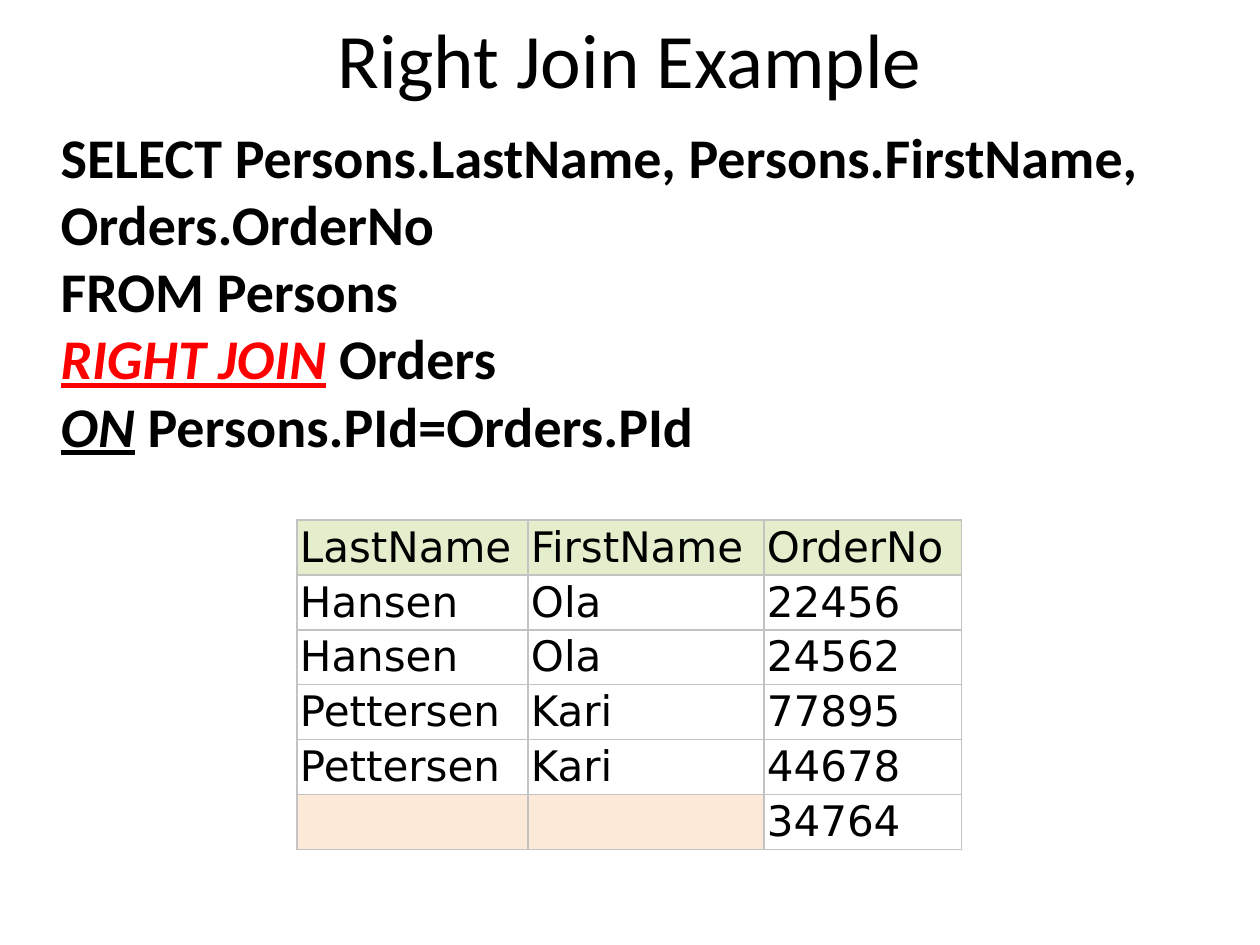
from lxml.etree import SubElement
from pptx import Presentation
from pptx.dml.color import RGBColor
from pptx.enum.text import MSO_ANCHOR as Anchor, MSO_AUTO_SIZE as AutoSize, PP_ALIGN as Align
from pptx.oxml.ns import qn
from pptx.util import Emu, Pt

SCALE = 914400 / 126  # EMU in one px


def px(length):
    return Emu(round(length * SCALE))


def color(hex_text):
    return RGBColor.from_string(hex_text)


class SlideBuilder:
    BLACK, RED, WHITE = "000000", "FF0000", "FFFFFF"
    GREEN, PEACH, GRID = "E5EECC", "FDE9D8", "C3C3C3"
    TEXT_FONT, TABLE_FONT = "Calibri", "DejaVu Sans"

    def __init__(self, slide):
        self.slide = slide

    def style(self, font, name, size, bold=False):
        font.name, font.size, font.bold = name, Pt(size), bold
        font.color.rgb = color(self.BLACK)

    def place(self, shape, left, top, width, height):
        shape.left, shape.top = px(left), px(top)
        shape.width, shape.height = px(width), px(height)
        shape.text_frame.auto_size = AutoSize.NONE

    def title(self, text, *area):
        shape = self.slide.shapes.title
        self.place(shape, *area)
        shape.text_frame.vertical_anchor = Anchor.MIDDLE
        para = shape.text_frame.paragraphs[0]
        para.text = text
        para.alignment = Align.CENTER
        self.style(para.font, self.TEXT_FONT, 44)

    def query(self, lines, indent, *area):
        """Each line is a list of (text, emphasis colour or None) spans."""
        shape = self.slide.placeholders[1]
        self.place(shape, *area)
        para = shape.text_frame.paragraphs[0]
        properties = para._p.get_or_add_pPr()
        properties.set("marL", str(px(indent)))
        properties.set("indent", "0")
        SubElement(properties, qn("a:buNone"))
        para.space_before = Pt(0)
        self.style(para.font, self.TEXT_FONT, 32, bold=True)
        for number, line in enumerate(lines):
            if number:
                para.add_line_break()
            for text, emphasis in line:
                span = para.add_run()
                span.text = text
                if emphasis:
                    span.font.italic = span.font.underline = True
                    span.font.color.rgb = color(emphasis)

    def border(self, cell):
        properties = cell._tc.get_or_add_tcPr()
        for side in ("lnL", "lnR", "lnT", "lnB"):
            line = SubElement(properties, qn(f"a:{side}"), w=str(Pt(0.75)))
            fill = SubElement(line, qn("a:solidFill"))
            SubElement(fill, qn("a:srgbClr"), val=self.GRID)

    def cell(self, cell, text, fill):
        self.border(cell)
        cell.fill.solid()
        cell.fill.fore_color.rgb = color(fill)
        cell.margin_left = cell.margin_right = px(3)
        cell.margin_top = cell.margin_bottom = px(3)
        para = cell.text_frame.paragraphs[0]
        para.text = text
        self.style(para.font, self.TABLE_FONT, 24)

    def table(self, rows, left, top, widths, row_height):
        frame = self.slide.shapes.add_table(
            len(rows), len(widths), px(left), px(top),
            px(sum(widths)), px(row_height * len(rows)))
        table = frame.table
        table.first_row = table.horz_banding = False
        for column, width in zip(table.columns, widths):
            column.width = px(width)
        for i, values in enumerate(rows):
            for j, text in enumerate(values):
                fill = self.GREEN if i == 0 else self.WHITE if text else self.PEACH
                self.cell(table.cell(i, j), text, fill)


def main():
    deck = Presentation()
    deck.slide_width, deck.slide_height = px(1260), px(945)
    page = SlideBuilder(deck.slides.add_slide(deck.slide_layouts[1]))

    # Heading
    page.title("Right Join Example", 0, 0, 1260, 116)

    # SQL statement
    page.query([
        [("SELECT Persons.LastName, Persons.FirstName, Orders.OrderNo", None)],
        [("FROM Persons", None)],
        [("RIGHT JOIN", page.RED), (" Orders", None)],
        [("ON", page.BLACK), (" Persons.PId=Orders.PId", None)],
    ], 48, 0, 116, 1260, 829)

    # Result set
    page.table([
        ("LastName", "FirstName", "OrderNo"),
        ("Hansen", "Ola", "22456"),
        ("Hansen", "Ola", "24562"),
        ("Pettersen", "Kari", "77895"),
        ("Pettersen", "Kari", "44678"),
        ("", "", "34764"),
    ], 297, 520, (231, 236, 198), 55)

    deck.save("out.pptx")


if __name__ == "__main__":
    main()
